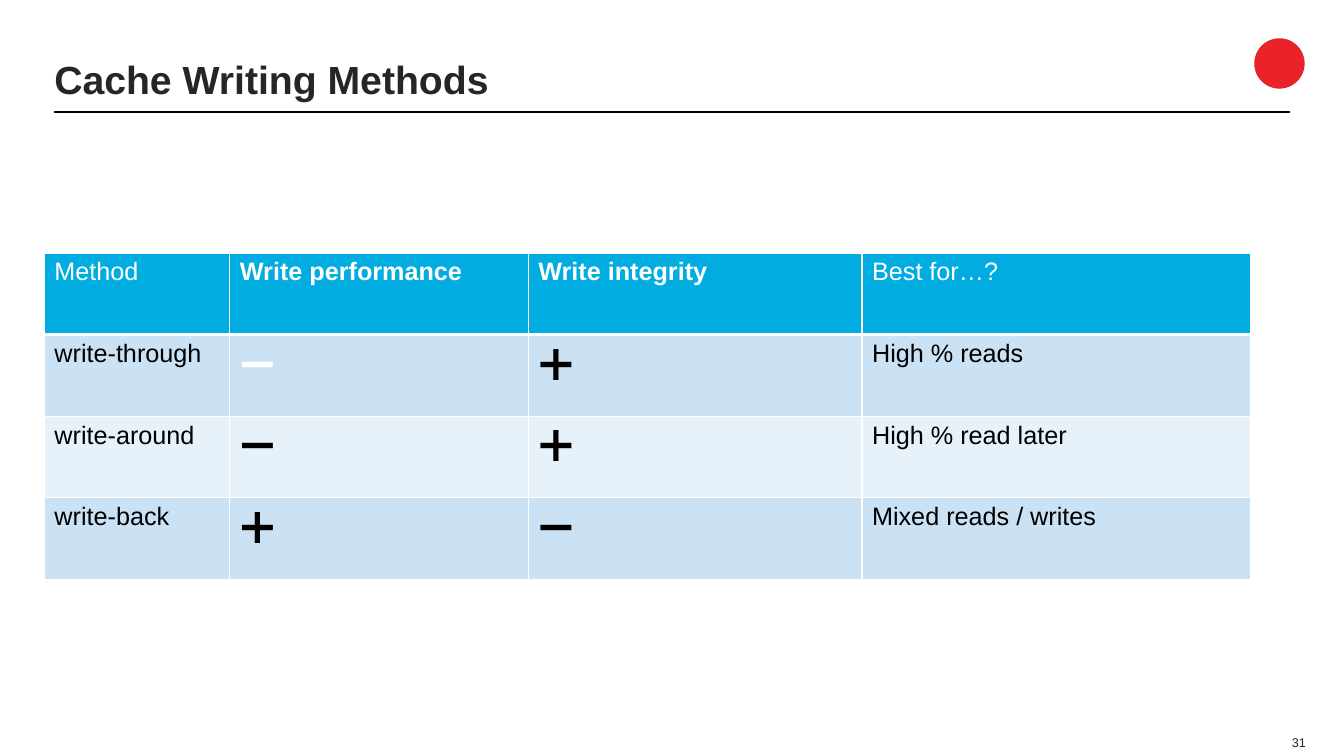
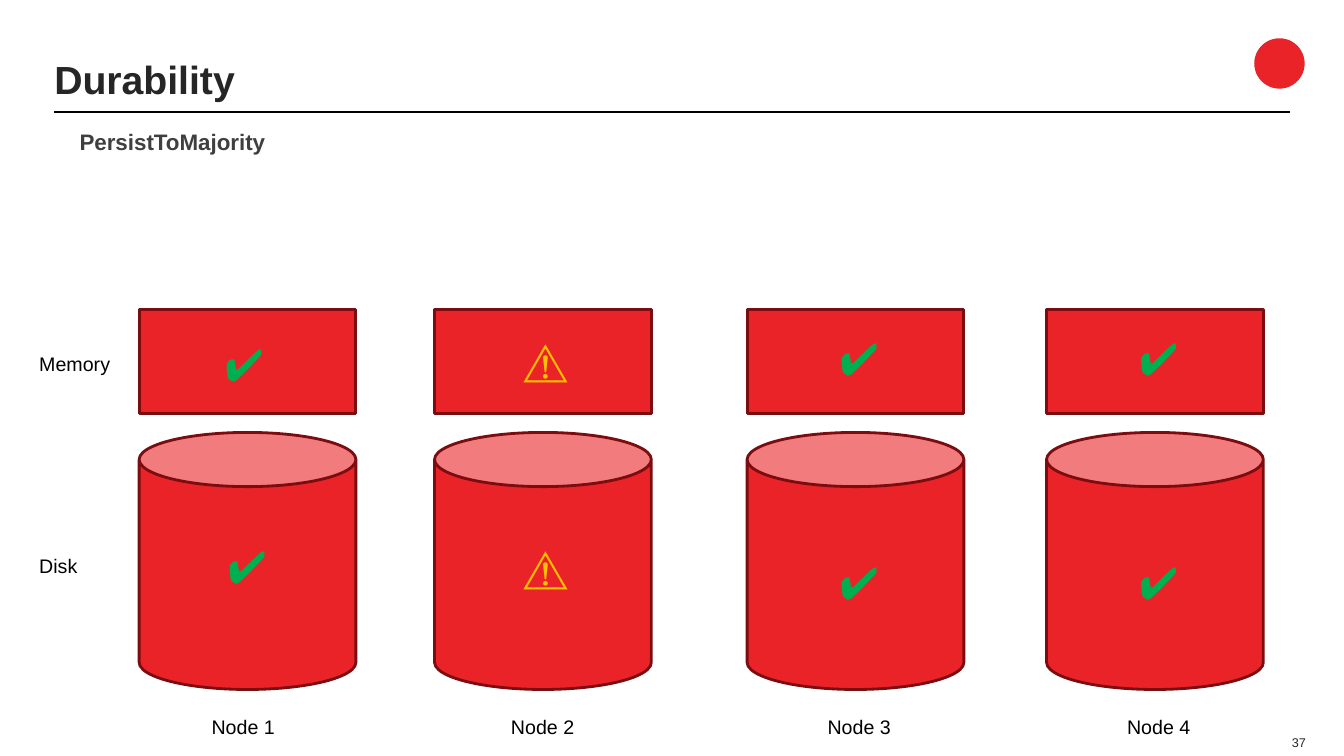
from lxml import etree
from pptx import Presentation
from pptx.dml.color import RGBColor
from pptx.enum.shapes import MSO_CONNECTOR, MSO_SHAPE
from pptx.enum.text import MSO_ANCHOR, MSO_AUTO_SIZE, PP_ALIGN
from pptx.oxml import parse_xml
from pptx.oxml.ns import nsdecls, qn
from pptx.util import Inches, Pt

FONT = "Arial"
WHITE = RGBColor(0xFF, 0xFF, 0xFF)
BLACK = RGBColor(0x00, 0x00, 0x00)
INK = RGBColor(0x26, 0x26, 0x26)
GRAY = RGBColor(0x3F, 0x3F, 0x3F)
RED = RGBColor(0xEA, 0x23, 0x28)
DARK_RED = RGBColor(0x7B, 0x0C, 0x0F)
GREEN = RGBColor(0x00, 0xB0, 0x50)
AMBER = RGBColor(0xFF, 0xC0, 0x00)
BLUE = RGBColor(0x00, 0xAC, 0xE0)
BAND_DARK = RGBColor(0xCA, 0xE2, 0xF3)
BAND_LIGHT = RGBColor(0xE6, 0xF1, 0xF9)


def add_text(s, text, x, y, w, h, size, color=BLACK, bold=False, wrap=False):
    """Add a one-line text box; an unwrapped box fits its text."""
    tf = s.shapes.add_textbox(Inches(x), Inches(y), Inches(w), Inches(h)).text_frame
    tf.word_wrap = wrap
    tf.auto_size = MSO_AUTO_SIZE.NONE if wrap else MSO_AUTO_SIZE.SHAPE_TO_FIT_TEXT
    p = tf.paragraphs[0]
    p.text = text
    p.font.name, p.font.size, p.font.bold = FONT, Pt(size), bold
    p.font.color.rgb = color
    return tf


def add_shape(s, kind, x, y, w, h, line=None):
    sp = s.shapes.add_shape(kind, Inches(x), Inches(y), Inches(w), Inches(h))
    sp.shadow.inherit = False
    sp.fill.solid()
    sp.fill.fore_color.rgb = RED
    if line is None:
        sp.line.fill.background()
    else:
        sp.line.color.rgb = line
        sp.line.width = Pt(2)


prs = Presentation()
prs.slide_width, prs.slide_height = Inches(13.33), Inches(7.5)

# Shared frame: badge, title, rule and page number
slides = []
for title, number in (("Cache Writing Methods", "31"), ("Durability", "37")):
    s = prs.slides.add_slide(prs.slide_layouts[6])
    slides.append(s)
    add_shape(s, MSO_SHAPE.OVAL, 12.44, 0.38, 0.5, 0.5)
    rule = s.shapes.add_connector(MSO_CONNECTOR.STRAIGHT, Inches(0.54), Inches(1.11),
                                  Inches(12.79), Inches(1.11))
    rule.line.color.rgb = BLACK
    rule.line.width = Pt(1)
    etree.SubElement(rule._element.spPr, qn("a:effectLst"))
    tf = add_text(s, title, 0.44, 0.51, 11.96, 0.6, 28, INK, bold=True, wrap=True)
    tf.vertical_anchor = MSO_ANCHOR.MIDDLE
    tf.paragraphs[0].line_spacing = 0.9
    tf = add_text(s, number, 12.69, 7.24, 0.36, 0.25, 9, INK, wrap=True)
    tf.vertical_anchor = MSO_ANCHOR.BOTTOM
    tf.paragraphs[0].alignment = PP_ALIGN.RIGHT
methods, durability = slides

# Table of cache writing methods
ROWS = [
    ("Method", "Write performance", "Write integrity", "Best for…?"),
    ("write-through", "➖", "➕", "High % reads"),
    ("write-around", "➖", "➕", "High % read later"),
    ("write-back", "➕", "➖", "Mixed reads / writes"),
]
COL_WIDTHS = (1.84, 2.96, 3.31, 3.85)
ROW_FILLS = (BLUE, BAND_DARK, BAND_LIGHT, BAND_DARK)

table = methods.shapes.add_table(len(ROWS), len(COL_WIDTHS), Inches(0.44), Inches(2.51),
                                 Inches(sum(COL_WIDTHS)), Inches(3.24)).table
for column, width in zip(table.columns, COL_WIDTHS):
    column.width = Inches(width)
for r, (row, fill) in enumerate(zip(ROWS, ROW_FILLS)):
    table.rows[r].height = Inches(0.81)
    for c, text in enumerate(row):
        cell = table.cell(r, c)
        cell.fill.solid()
        cell.fill.fore_color.rgb = fill
        middle = c in (1, 2)
        p = cell.text_frame.paragraphs[0]
        p.text = text
        p.font.name = FONT
        p.font.size = Pt(32 if r and middle else 18)
        p.font.bold = r == 0 and middle
        p.font.color.rgb = WHITE if r == 0 or (r, c) == (1, 1) else BLACK
        borders = {"lnL": 1, "lnR": 1, "lnT": 3 if r == 1 else 1, "lnB": 3 if r == 0 else 1}
        for i, (side, width) in enumerate(borders.items()):
            cell._tc.get_or_add_tcPr().insert(i, parse_xml(
                f'<a:{side} {nsdecls("a")} w="{Pt(width)}"><a:solidFill>'
                f'<a:srgbClr val="{WHITE}"/></a:solidFill></a:{side}>'))

# Memory and disk of each node
add_text(durability, "PersistToMajority", 0.69, 1.22, 11.71, 0.38, 16, GRAY, bold=True, wrap=True)
add_text(durability, "Memory", 0.29, 3.44, 0.91, 0.34, 14)
add_text(durability, "Disk", 0.29, 5.45, 0.58, 0.34, 14)

OK, WARNING = ("✔", 0.56, GREEN), ("⚠", 0.59, AMBER)
# node left, label left, mark, (left, top) of the memory mark and of the disk mark
NODES = [
    (1.38, 2.0, OK, (2.13, 3.29), (2.16, 5.3)),
    (4.31, 4.97, WARNING, (5.09, 3.26), (5.09, 5.32)),
    (7.41, 8.11, OK, (8.23, 3.23), (8.23, 5.45)),
    (10.38, 11.08, OK, (11.2, 3.23), (11.2, 5.45)),
]
for n, (left, label_left, (mark, width, color), *spots) in enumerate(NODES, 1):
    add_shape(durability, MSO_SHAPE.RECTANGLE, left, 3.07, 2.15, 1.03, DARK_RED)
    add_shape(durability, MSO_SHAPE.CAN, left, 4.29, 2.15, 2.55, DARK_RED)
    add_text(durability, f"Node {n}", label_left, 7.04, 0.83, 0.34, 14)
    for x, y in spots:
        add_text(durability, mark, x, y, width, 0.64, 32, color)

prs.save("out.pptx")
